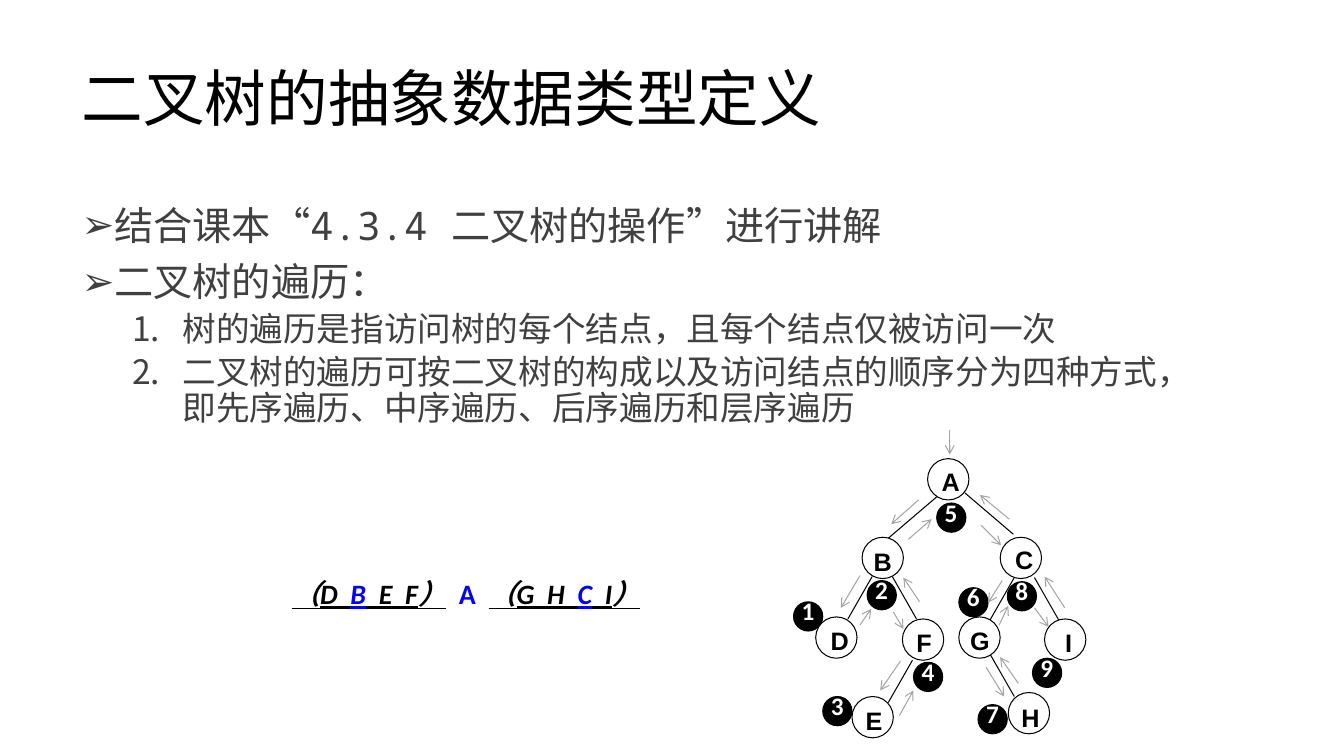
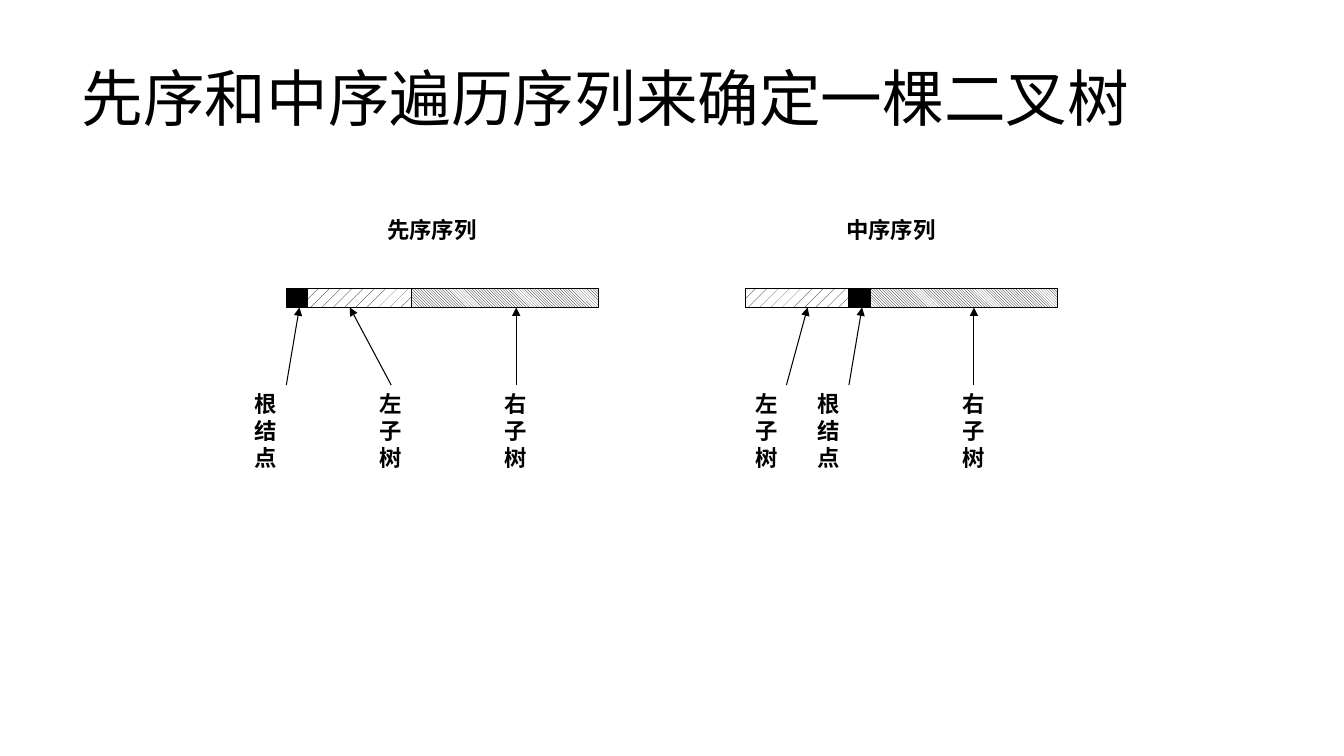
import pptx
import pptx.util
import pptx.dml.color
import pptx.enum.dml
import pptx.enum.shapes
import pptx.enum.text
import pptx.oxml
import pptx.oxml.ns
import lxml.etree

Inches = pptx.util.Inches
Pt = pptx.util.Pt
RGBColor = pptx.dml.color.RGBColor
Align = pptx.enum.text.PP_ALIGN
Anchor = pptx.enum.text.MSO_ANCHOR
Preset = pptx.enum.shapes.MSO_SHAPE
Pattern = pptx.enum.dml.MSO_PATTERN

BLACK = RGBColor(0x00, 0x00, 0x00)
WHITE = RGBColor(0xFF, 0xFF, 0xFF)
BLUE = RGBColor(0x00, 0x00, 0xFF)
DARK = RGBColor(0x40, 0x40, 0x40)
GRAY = RGBColor(0xA5, 0xA5, 0xA5)

TITLE = {"name": "Arial", "size": Pt(44)}
BODY = {"name": "Noto Sans Mono", "size": Pt(28)}
SUB_BODY = {"name": "Noto Sans Mono", "size": Pt(24)}
NODE = {"name": "Arial", "size": Pt(18), "bold": True}
BADGE = {"name": "Calibri", "size": Pt(18), "bold": True}
SEQUENCE = {"name": "Calibri", "size": Pt(20), "bold": True}
LABEL = {"name": "Calibri", "size": Pt(16), "bold": True}
ITEM = {"line_spacing": 0.9, "space_before": Pt(10), "level": 0}
SUB_ITEM = {"line_spacing": 0.9, "space_before": Pt(5), "level": 1}

TREE_TITLE = "二叉树的抽象数据类型定义"
ITEMS = [
    (0, "结合课本“4.3.4 二叉树的操作”进行讲解"),
    (0, "二叉树的遍历："),
    (1, "树的遍历是指访问树的每个结点，且每个结点仅被访问一次"),
    (1, "二叉树的遍历可按二叉树的构成以及访问结点的顺序分为四种方式，"
        "即先序遍历、中序遍历、后序遍历和层序遍历"),
]
INORDER_SPANS = [
    ("（D  ", BLACK, True, True), ("B", BLUE, True, True),
    ("  E  F）", BLACK, True, True), ("  ", BLACK, True, False),
    ("A  ", BLUE, False, False), ("（G  H  ", BLACK, True, True),
    ("C", BLUE, True, True), ("  I）", BLACK, True, True),
]
NODES = {
    "A": ((9.2, 4.55), (9.33, 4.63, 0.2, 0.21)),
    "B": ((8.55, 5.33), (8.61, 5.42, 0.29, 0.31)),
    "C": ((9.92, 5.33), (10.06, 5.4, 0.2, 0.27)),
    "D": ((8.09, 6.12), (8.21, 6.2, 0.24, 0.35)),
    "F": ((8.95, 6.14), (9.05, 6.22, 0.23, 0.31)),
    "G": ((9.51, 6.12), (9.62, 6.2, 0.2, 0.27)),
    "I": ((10.36, 6.14), (10.5, 6.22, 0.2, 0.21)),
    "E": ((8.45, 6.91), (8.57, 7, 0.2, 0.21)),
    "H": ((10, 6.87), (10.12, 6.97, 0.2, 0.21)),
}
ROOT_STEP, CHILD_STEP = (0.48, 0.41), (0.24, 0.42)
BRANCHES = [
    (9.29, 4.93, -1, ROOT_STEP), (9.57, 4.89, 1, ROOT_STEP),
    (8.65, 5.72, -1, CHILD_STEP), (8.85, 5.72, 1, CHILD_STEP),
    (10.06, 5.73, -1, CHILD_STEP), (10.26, 5.73, 1, CHILD_STEP),
    (9.05, 6.55, -1, CHILD_STEP), (9.82, 6.49, 1, CHILD_STEP),
]
VISITS = [
    (7.87, 5.97), (8.6, 5.76), (8.16, 6.91), (9.06, 6.57), (9.29, 4.99),
    (9.51, 5.83), (9.7, 6.99), (9.99, 5.77), (10.24, 6.53),
]
WALK = [
    (9.42, 4.27, 9.42, 4.51), (9.11, 4.96, 8.84, 5.2),
    (8.53, 5.71, 8.34, 6.03), (8.53, 6.2, 8.64, 6.04),
    (8.86, 6.07, 8.96, 6.24), (8.93, 6.56, 8.73, 6.85),
    (8.92, 7.1, 9.06, 6.85), (9.12, 5.97, 8.96, 5.73),
    (9.01, 5.35, 9.24, 5.15), (9.73, 5.21, 9.93, 5.41),
    (9.94, 5.76, 9.8, 5.98), (9.78, 6.62, 9.96, 6.91),
    (10.1, 6.78, 9.92, 6.52), (9.91, 6.2, 10, 6.01),
    (10.26, 6.03, 10.4, 6.22), (10.56, 6.03, 10.36, 5.72),
    (10.01, 5.15, 9.72, 4.91),
]

BARS_TITLE = "先序和中序遍历序列来确定一棵二叉树"
PARTS = {
    "根结点": (0.21, None),
    "左子树": (1.03, Pattern.PERCENT_10),
    "右子树": (1.86, Pattern.LIGHT_DOWNWARD_DIAGONAL),
}
BARS = [
    ("先序序列", 2.84, [("根结点", 2.43, 2.84, 2.97),
                    ("左子树", 3.67, 3.88, 3.47),
                    ("右子树", 4.91, 5.12, 5.12)]),
    ("中序序列", 7.39, [("左子树", 7.39, 7.8, 8.01),
                    ("根结点", 8.01, 8.42, 8.55),
                    ("右子树", 9.45, 9.66, 9.66)]),
]
BAR_TOP, BAR_HEIGHT, LABEL_TOP = 2.86, 0.19, 3.82


def apply(target, formats):
    for name, value in formats.items():
        setattr(target, name, value)


def add_span(para, text, formats, color):
    span = para.add_run()
    span.text = text
    apply(span.font, formats)
    span.font.color.rgb = color
    return span


def place(shape, left, top, width, height):
    apply(shape, {"left": Inches(left), "top": Inches(top),
                  "width": Inches(width), "height": Inches(height)})


def add_child(parent, tag, **values):
    return lxml.etree.SubElement(parent, pptx.oxml.ns.qn(tag), **values)


def add_text(page, frame, text, formats, color=BLACK, align=Align.CENTER, inset=0.0):
    box = page.shapes.add_textbox(*map(Inches, frame))
    apply(box.text_frame, {"word_wrap": True,
                           "margin_left": Inches(inset), "margin_right": Inches(inset),
                           "margin_top": Inches(inset / 2), "margin_bottom": Inches(inset / 2)})
    para = box.text_frame.paragraphs[0]
    para.alignment = align
    if text:
        add_span(para, text, formats, color)
    return box


def add_outlined(page, preset, frame, color, pattern=None):
    shape = page.shapes.add_shape(preset, *map(Inches, frame))
    shape.shadow.inherit = False
    if pattern is None:
        shape.fill.solid()
        shape.fill.fore_color.rgb = color
    else:
        shape.fill.patterned()
        shape.fill.pattern = pattern
        shape.fill.fore_color.rgb = BLACK
        shape.fill.back_color.rgb = WHITE
    shape.line.color.rgb = BLACK
    shape.line.width = Pt(0.75)


def add_line(page, ends, color=BLACK, head=None):
    line = page.shapes.add_connector(
        pptx.enum.shapes.MSO_CONNECTOR.STRAIGHT, *map(Inches, ends))
    line.line.color.rgb = color
    line.line.width = Pt(0.75)
    if head:
        add_child(line.line._get_or_add_ln(), "a:tailEnd", type=head)
    add_child(line._element.spPr, "a:effectLst")


def add_page(deck, layout, title):
    page = deck.slides.add_slide(deck.slide_layouts[layout])
    place(page.shapes.title, 0.71, 0.28, 11.5, 1.45)
    frame = page.shapes.title.text_frame
    apply(frame, {"vertical_anchor": Anchor.MIDDLE, "word_wrap": True,
                  "auto_size": pptx.enum.text.MSO_AUTO_SIZE.NONE})
    para = frame.paragraphs[0]
    apply(para, {"alignment": Align.LEFT, "line_spacing": 0.9})
    add_span(para, title, TITLE, BLACK)
    return page


def fill_list(body):
    place(body, 0.71, 2, 11.5, 4.76)
    frame = body.text_frame
    frame.auto_size = pptx.enum.text.MSO_AUTO_SIZE.NONE
    for index, (level, text) in enumerate(ITEMS):
        para = frame.add_paragraph() if index else frame.paragraphs[0]
        apply(para, SUB_ITEM if level else ITEM)
        add_span(para, text, SUB_BODY if level else BODY, DARK)
        margin, hanging = (1, 0.5) if level else (0.25, 0.25)
        settings = para._p.get_or_add_pPr()
        settings.set("marL", str(Inches(margin)))
        settings.set("indent", str(-Inches(hanging)))
        if level:
            add_child(settings, "a:buFontTx")
            add_child(settings, "a:buAutoNum", type="arabicPeriod")
        else:
            add_child(settings, "a:buFont", typeface="Arial")
            add_child(settings, "a:buChar", char="➢")


def draw_tree(page):
    for number, (left, top) in enumerate(VISITS, 1):
        add_outlined(page, Preset.OVAL, (left, top, 0.29, 0.29), BLACK)
        add_text(page, (left + 0.08, top - 0.06, 0.24, 0.35), str(number),
                 BADGE, WHITE, Align.LEFT)
    for ends in WALK:
        add_line(page, ends, GRAY, "arrow")
    for x, y, side, (across, down) in BRANCHES:
        add_line(page, (x, y, x + side * across, y + down))
    for name, (corner, frame) in NODES.items():
        add_outlined(page, Preset.OVAL, (*corner, 0.41, 0.41), WHITE)
        add_text(page, frame, name, NODE)


def add_sequence(page):
    box = add_text(page, (2.01, 5.67, 5.23, 0.44), "", SEQUENCE, inset=0.1)
    box.fill.solid()
    box.fill.fore_color.rgb = WHITE
    box.text_frame.auto_size = pptx.enum.text.MSO_AUTO_SIZE.SHAPE_TO_FIT_TEXT
    for text, color, italic, underline in INORDER_SPANS:
        formats = {**SEQUENCE, "italic": italic, "underline": underline}
        add_span(box.text_frame.paragraphs[0], text, formats, color)


def draw_bar(page, heading, left, parts):
    add_text(page, (left + 0.62, 2.1, 1.65, 0.57), heading, LABEL, inset=0.1)
    for name, label_left, start, tip in parts:
        width, pattern = PARTS[name]
        add_outlined(page, Preset.RECTANGLE, (left, BAR_TOP, width, BAR_HEIGHT), BLACK, pattern)
        left += width
        add_line(page, (start, LABEL_TOP, tip, BAR_TOP + BAR_HEIGHT), head="triangle")
        add_text(page, (label_left, LABEL_TOP, 0.62, 1.33), name, LABEL,
                 align=Align.JUSTIFY, inset=0.1)


deck = pptx.Presentation()
deck.slide_width, deck.slide_height = Inches(13.33), Inches(7.5)

tree_page = add_page(deck, 1, TREE_TITLE)
fill_list(tree_page.placeholders[1])
draw_tree(tree_page)
add_sequence(tree_page)

bars_page = add_page(deck, 5, BARS_TITLE)
for bar in BARS:
    draw_bar(bars_page, *bar)

deck.save("out.pptx")
